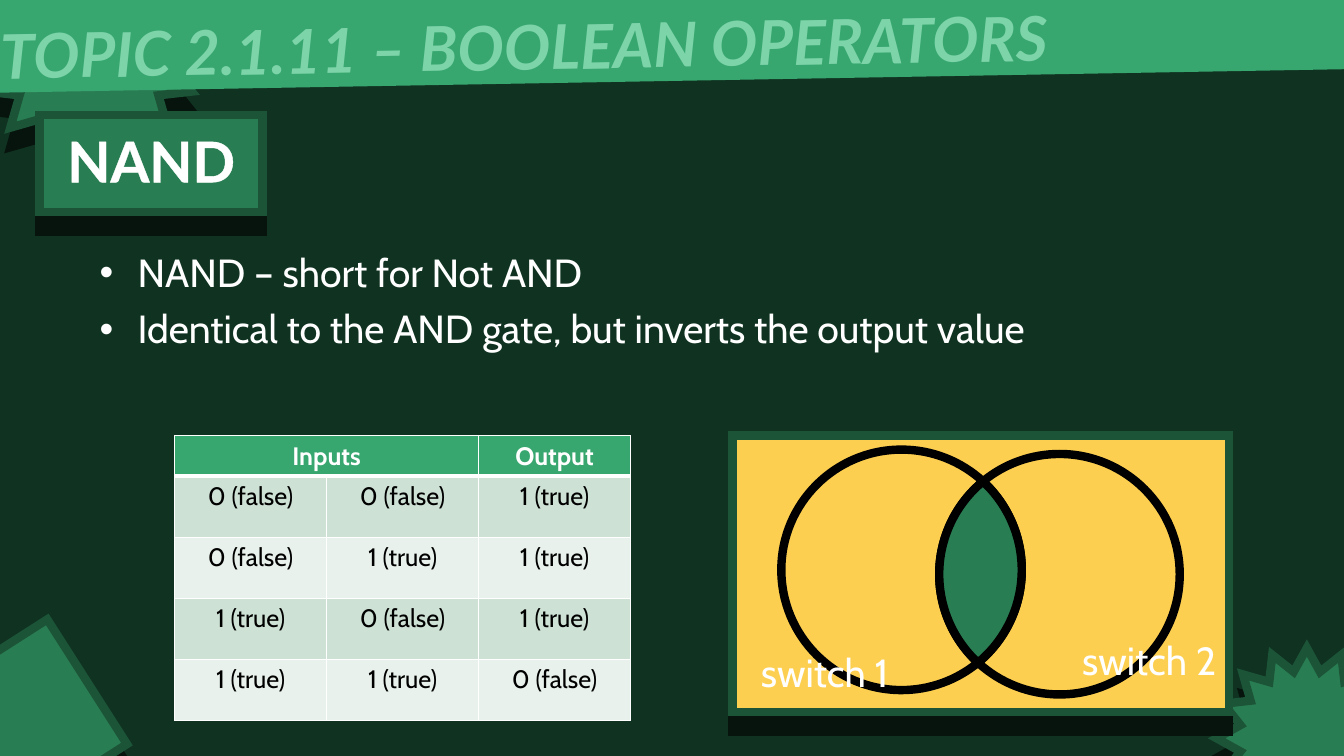
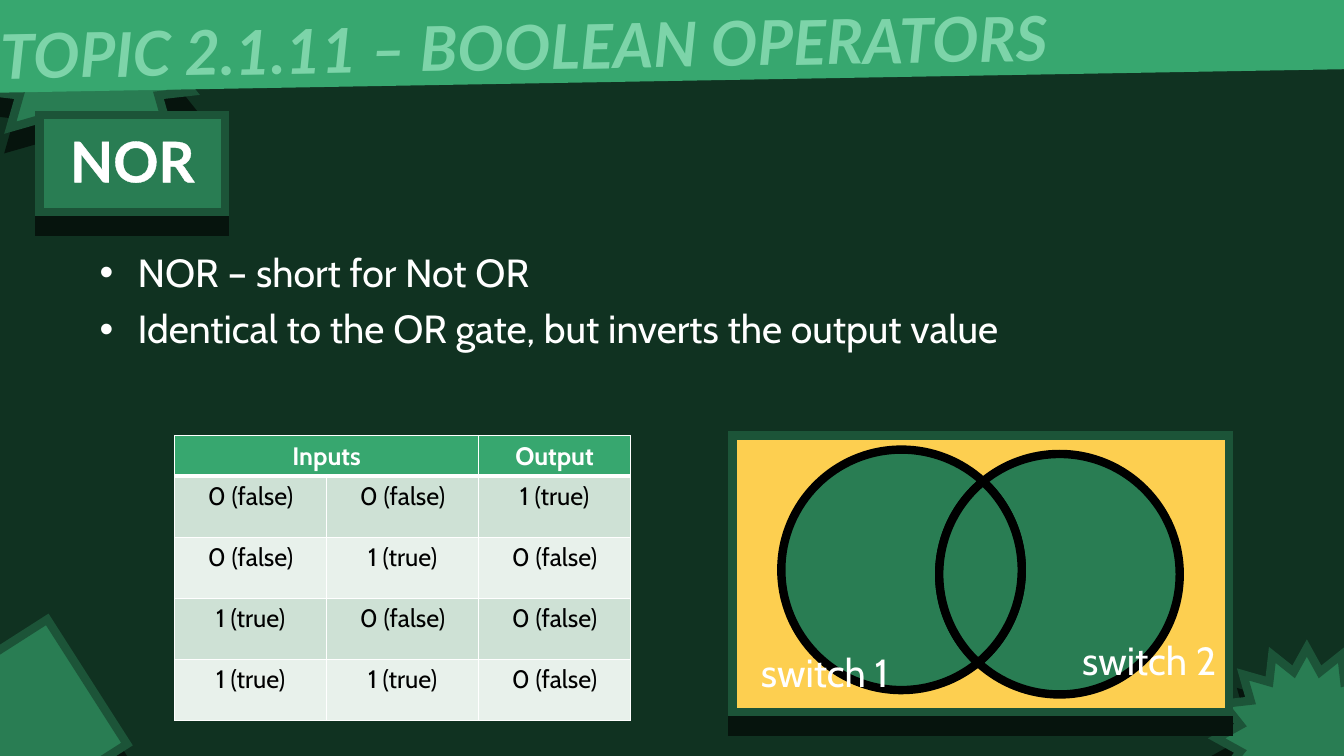
from itertools import pairwise, product
from math import acos, atan2, cos, hypot, pi, sin, tan

from lxml.etree import SubElement
from pptx import Presentation
from pptx.dml.color import RGBColor
from pptx.enum.shapes import MSO_SHAPE
from pptx.enum.text import PP_ALIGN
from pptx.oxml.ns import qn
from pptx.util import Cm, Pt

TOPIC = "TOPIC 2.1.11 – BOOLEAN OPERATORS"
GATES = [
    {
        "name": "NAND",
        "badge_width": 5.62,
        "points": ["NAND – short for Not AND",
                   "Identical to the AND gate, but inverts the output value"],
        "outputs": [1, 1, 1, 0],
        "crescents": "yellow",
    },
    {
        "name": "NOR",
        "badge_width": 4.67,
        "points": ["NOR – short for Not OR",
                   "Identical to the OR gate, but inverts the output value"],
        "outputs": [1, 0, 0, 0],
        "crescents": "green",
    },
]
BITS = ["0 (false)", "1 (true)"]
SWITCHES = [("switch 2", 26.4, 16.04), ("switch 1", 18.22, 16.34)]
CIRCLES = [(22.72, 14.36), (26.7, 14.47)]
RADIUS = 3.03
STAR, RECTANGLE = MSO_SHAPE.STAR_16_POINT, MSO_SHAPE.RECTANGLE
DECORATIONS = [
    (STAR, (-0.56, -1.57, 5.61, 5.61), 0),
    (RECTANGLE, (-1.45, 16.38, 3.96, 3.73), 327.4),
    (STAR, (30.66, 16.33, 4.55, 4.55), 0),
]
TILT = 359


class Theme:
    colors = {
        "background": "103221", "green": "297D53", "edge": "1C5438",
        "shadow": "06140D", "band": "37A76F", "topic": "7DD4A9",
        "yellow": "FDCF50", "row_dark": "CEE1D5", "row_light": "E8F1EB",
        "white": "FFFFFF", "black": "000000",
    }
    heading, body = "Lato", "Cabin"
    topic_size, badge_size, body_size, table_size = 44, 40, 28, 18
    line_width, shadow_distance = 6, 14


def rgb(name):
    return RGBColor.from_string(Theme.colors[name])


def add_solid(parent, color):
    fill = SubElement(parent, qn("a:solidFill"))
    SubElement(fill, qn("a:srgbClr"), val=Theme.colors[color])


def style_shape(shape, fill, line=None, shadow=False):
    shape.shadow.inherit = False
    shape.fill.solid()
    shape.fill.fore_color.rgb = rgb(fill)
    if line:
        shape.line.color.rgb = rgb(line)
        shape.line.width = Pt(Theme.line_width)
        SubElement(shape.line._get_or_add_ln(), qn("a:miter"), lim="800000")
    else:
        shape.line.fill.background()
    if shadow:
        effects = shape._element.spPr.find(qn("a:effectLst"))
        outer = SubElement(effects, qn("a:outerShdw"), blurRad="0",
                           dist=str(Pt(Theme.shadow_distance)), dir="5400000",
                           algn="t", rotWithShape="0")
        SubElement(outer, qn("a:srgbClr"), val=Theme.colors["shadow"])


def add_preset(slide, kind, box, rotation=0, **style):
    shape = slide.shapes.add_shape(kind, *map(Cm, box))
    shape.rotation = rotation
    style_shape(shape, **style)


def write(frame, *lines, size=Theme.body_size, font=Theme.body, color="white",
          bold=False, italic=False, outline=False, align=PP_ALIGN.CENTER,
          spaced=False, bullet=False):
    """Write one paragraph for each line of text into a text frame."""
    for index, text in enumerate(lines):
        para = frame.add_paragraph() if index else frame.paragraphs[0]
        para.alignment = align
        if spaced:
            para.line_spacing, para.space_before = 0.9, Pt(10)
        if bullet:
            properties = para._p.get_or_add_pPr()
            properties.set("marL", str(Cm(0.96)))
            properties.set("indent", str(Cm(-0.96)))
            SubElement(properties, qn("a:buFont"), typeface="Arial")
            SubElement(properties, qn("a:buChar"), char="•")
        span = para.add_run()
        span.text = text
        span.font.size, span.font.name = Pt(size), font
        span.font.bold, span.font.italic = bold, italic
        if outline:
            line = SubElement(span.font._element, qn("a:ln"), w=str(Pt(1.5)))
            add_solid(line, color)
            span.font._element.insert(0, line)
        span.font.color.rgb = rgb(color)


def add_text(slide, box, *lines, rotation=0, **style):
    shape = slide.shapes.add_textbox(*map(Cm, box))
    shape.rotation = rotation
    shape.text_frame.word_wrap = True
    write(shape.text_frame, *lines, **style)


def fill_cell(cell, text, fill, color="black", bold=False, top=1, bottom=1):
    write(cell.text_frame, text, size=Theme.table_size, color=color, bold=bold)
    properties = cell._tc.get_or_add_tcPr()
    for side, width in zip("LRTB", (1, 1, top, bottom)):
        line = SubElement(properties, qn(f"a:ln{side}"), w=str(Pt(width)))
        add_solid(line, "white")
    cell.fill.solid()
    cell.fill.fore_color.rgb = rgb(fill)


def add_truth_table(slide, outputs):
    frame = slide.shapes.add_table(5, 3, Cm(4.4), Cm(10.98), Cm(11.49), Cm(7.17))
    table = frame.table
    table.horz_banding = False
    for column in table.columns:
        column.width = Cm(3.83)
    for index, row in enumerate(table.rows):
        row.height = Cm(1.54 if index else 0.97)
    table.cell(0, 0).merge(table.cell(0, 1))
    for column, title in ((0, "Inputs"), (2, "Output")):
        fill_cell(table.cell(0, column), title, "band", "white", bold=True, bottom=3)
    for row, (inputs, output) in enumerate(zip(product((0, 1), repeat=2), outputs), 1):
        for column, bit in enumerate((*inputs, output)):
            fill_cell(table.cell(row, column), BITS[bit],
                      "row_dark" if row % 2 else "row_light",
                      top=3 if row == 1 else 1)


def point_on(center, angle, lead=0.0):
    """Return a point on a circle, moved along the tangent by lead radii."""
    return (Cm(center[0] + RADIUS * (cos(angle) - lead * sin(angle))),
            Cm(center[1] + RADIUS * (sin(angle) + lead * cos(angle))))


def arc(center, start, end):
    """Return Bezier points after the start, split where the circle meets its box."""
    quarters = [number * pi / 2 for number in range(-4, 9)]
    inside = [angle for angle in quarters if min(start, end) < angle < max(start, end)]
    stops = [start, *sorted(inside, reverse=start > end), end]
    points = []
    for first, last in pairwise(stops):
        lead = 4 / 3 * tan((last - first) / 4)
        points += [point_on(center, first, lead), point_on(center, last, -lead),
                   point_on(center, last)]
    return points


def venn_outlines():
    """Return the outlines of the left crescent, right crescent and lens."""
    left, right = CIRCLES
    dx, dy = right[0] - left[0], right[1] - left[1]
    facing = atan2(dy, dx)
    half = acos(hypot(dx, dy) / 2 / RADIUS)
    top, bottom = facing - half, facing + half
    far_bottom, far_top = facing + pi - half, facing + pi + half
    start_top, start_bottom = point_on(left, top), point_on(left, bottom)
    return (
        [start_bottom, *arc(left, bottom, top + 2 * pi), *arc(right, far_top, far_bottom)],
        [start_top, *arc(right, far_top, far_bottom + 2 * pi), *arc(left, bottom, top)],
        [start_top, *arc(left, top, bottom), *arc(right, far_bottom, far_top)],
    )


def add_region(slide, points, fill):
    """Add a closed freeform whose points are a start and Bezier triples."""
    builder = slide.shapes.build_freeform(*points[0])
    builder.add_line_segments(points[1:], close=True)
    shape = builder.convert_to_shape()
    segments = list(shape._element.iter(qn("a:lnTo")))
    for index in range(0, len(points) - 1, 3):
        first, *others = segments[index:index + 3]
        curve = first.getparent().makeelement(qn("a:cubicBezTo"))
        first.addprevious(curve)
        for segment in (first, *others):
            curve.append(segment[0])
            segment.getparent().remove(segment)
    style_shape(shape, fill, "black")


def add_venn(slide, crescent_fill):
    add_preset(slide, RECTANGLE, (18.46, 10.98, 12.52, 6.96),
               fill="yellow", line="edge", shadow=True)
    *crescents, lens = venn_outlines()
    for crescent in crescents:
        add_region(slide, crescent, crescent_fill)
    for label, left, top in SWITCHES:
        add_text(slide, (left, top, 5.13, 1.4), label, spaced=True)
    add_region(slide, lens, "green")


def add_frame(slide):
    """Add the background, the corner decorations and the topic band."""
    slide.background.fill.solid()
    slide.background.fill.fore_color.rgb = rgb("background")
    for kind, box, rotation in DECORATIONS:
        add_preset(slide, kind, box, rotation, fill="green", line="edge", shadow=True)
    add_preset(slide, RECTANGLE, (-0.56, -1.72, 35.2, 3.76), TILT, fill="band")
    add_text(slide, (-0.25, -0.03, 40.31, 2.13), TOPIC, rotation=TILT,
             size=Theme.topic_size, font=Theme.heading, color="topic",
             bold=True, italic=True, outline=True, align=PP_ALIGN.LEFT)


def add_badge(slide, name, width):
    add_preset(slide, RECTANGLE, (1, 2.9, width, 2.44),
               fill="green", line="edge", shadow=True)
    add_text(slide, (1.05, 3.06, width - 0.1, 1.96), name, size=Theme.badge_size,
             font=Theme.heading, bold=True, outline=True)


def main():
    deck = Presentation()
    deck.slide_width, deck.slide_height = Cm(33.87), Cm(19.05)
    for gate in GATES:
        slide = deck.slides.add_slide(deck.slide_layouts[6])
        add_frame(slide)
        add_badge(slide, gate["name"], gate["badge_width"])
        add_text(slide, (2.26, 6.26, 29.18, 11.99), *gate["points"],
                 align=PP_ALIGN.LEFT, spaced=True, bullet=True)
        add_truth_table(slide, gate["outputs"])
        add_venn(slide, gate["crescents"])
    deck.save("out.pptx")


if __name__ == "__main__":
    main()
